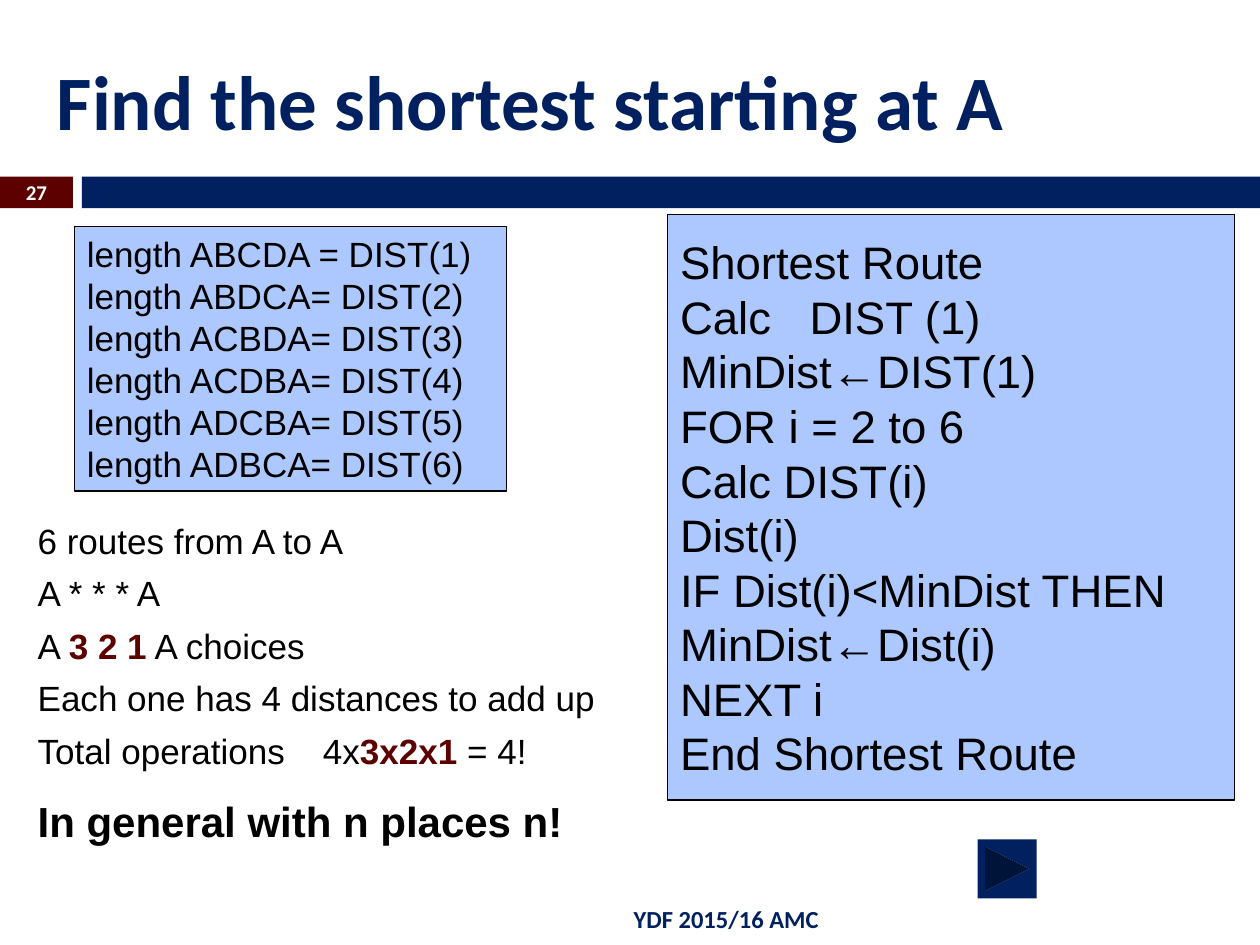
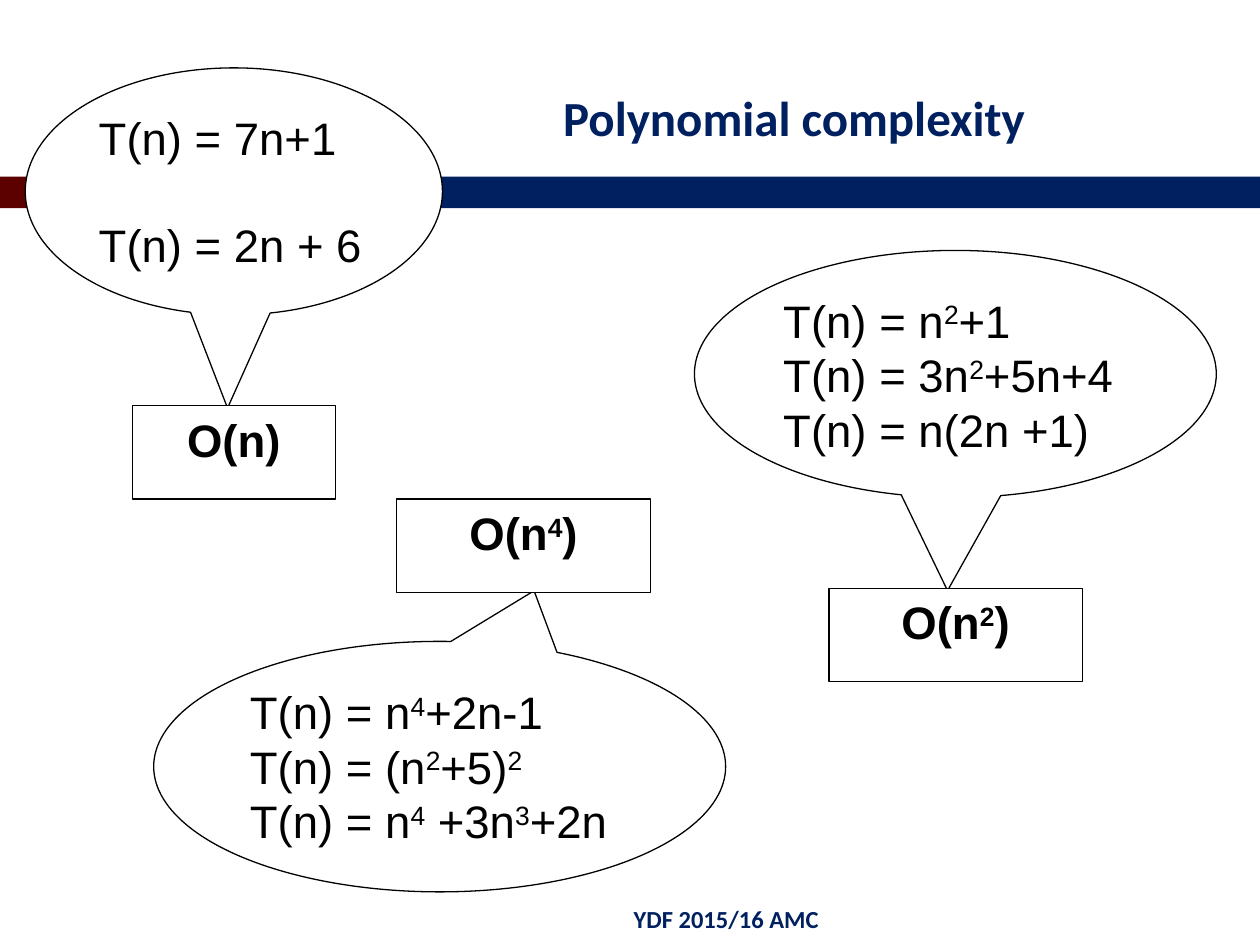
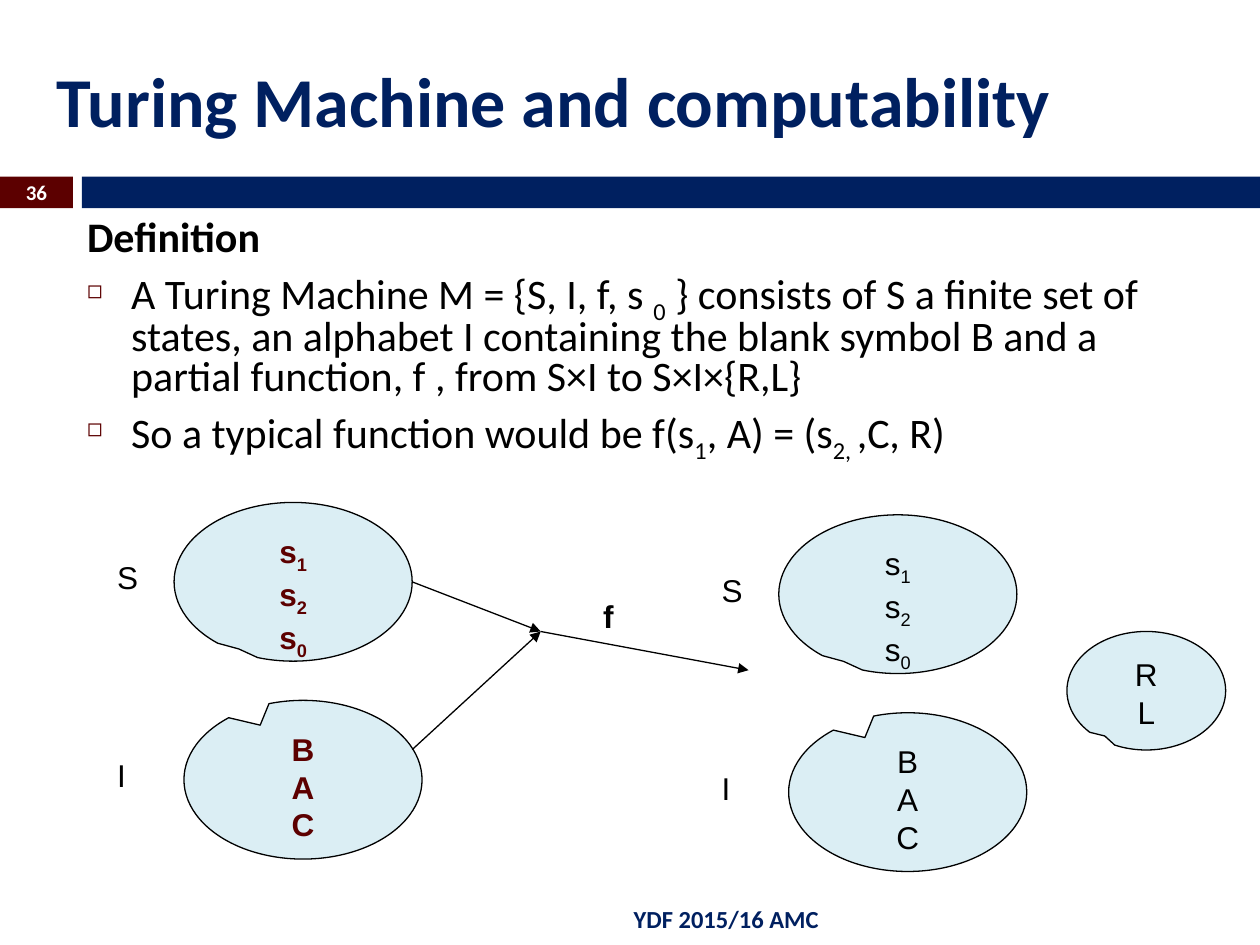
"""Build three lecture slides on routes, polynomial complexity and Turing machines."""
from dataclasses import dataclass

from lxml.etree import SubElement
from pptx import Presentation
from pptx.dml.color import RGBColor
from pptx.enum.shapes import MSO_CONNECTOR, MSO_SHAPE
from pptx.enum.text import MSO_ANCHOR as Anchor, MSO_AUTO_SIZE, PP_ALIGN as Align
from pptx.oxml.ns import qn
from pptx.oxml.xmlchemy import OxmlElement
from pptx.util import Cm, Pt


@dataclass(frozen=True)
class Theme:
    navy: str = "002060"
    maroon: str = "5C0000"
    panel: str = "ACC8FF"
    pale: str = "DBEEF4"
    white: str = "FFFFFF"
    black: str = "000000"
    heading_font: str = "Calibri"
    body_font: str = "Arial"
    footer: float = 14
    number: float = 12
    label: float = 18
    note: float = 20
    emphasis: float = 24
    code: float = 26
    outline: float = 0.75


theme = Theme()
BASELINES = {"^": "30000", "_": "-25000"}


def write(shape, lines, size, color=theme.black, bold=False, align=Align.LEFT,
          anchor=Anchor.TOP, font=theme.body_font, tab=None):
    """Fill a shape; parts split by | may start with ^ raised, _ lowered or * accented."""
    frame = shape.text_frame
    frame.word_wrap = True
    frame.auto_size = MSO_AUTO_SIZE.NONE
    frame.vertical_anchor = anchor
    for index, line in enumerate(lines):
        paragraph = frame.add_paragraph() if index else frame.paragraphs[0]
        paragraph.alignment = align
        paragraph.font.name = font
        paragraph.font.size = Pt(size)
        paragraph.font.bold = bold
        paragraph.font.color.rgb = RGBColor.from_string(color)
        if "\t" in line:
            stops = OxmlElement("a:tabLst")
            SubElement(stops, qn("a:tab"), pos=str(Cm(tab)), algn="l")
            paragraph._p.pPr[-1].addprevious(stops)
        for part in line.split("|"):
            run = paragraph.add_run()
            run.text = part[1:] if part[0] in "^_*" else part
            if part[0] in BASELINES:
                run._r.get_or_add_rPr().set("baseline", BASELINES[part[0]])
            elif part[0] == "*":
                run.font.bold = True
                run.font.color.rgb = RGBColor.from_string(theme.maroon)
    return frame.paragraphs


def add_panel(slide, kind, box, fill, outlined=True, adjustments=()):
    """Add a preset shape with a flat fill and an optional thin black outline."""
    shape = slide.shapes.add_shape(kind, *map(Cm, box))
    shape.shadow.inherit = False
    shape.fill.solid()
    shape.fill.fore_color.rgb = RGBColor.from_string(fill)
    if outlined:
        shape.line.color.rgb = RGBColor.from_string(theme.black)
        shape.line.width = Pt(theme.outline)
    else:
        shape.line.fill.background()
    for index, value in enumerate(adjustments):
        shape.adjustments[index] = value
    return shape


presentation = Presentation()
presentation.slide_width = Cm(25.4)
presentation.slide_height = Cm(19.05)

wide_title = (0.89, 0.64, 23.8, 2.74)
right_title = (11.1, 0.76, 13.03, 3.18)
slides = []
for layout, title, box, size, number in (
    (5, "Find the shortest starting at A", wide_title, 44, "27"),
    (5, "Polynomial complexity", right_title, 28, None),
    (1, "Turing Machine and computability", wide_title, 40, "36"),
):
    slide = presentation.slides.add_slide(presentation.slide_layouts[layout])
    heading = slide.shapes.title
    heading.left, heading.top, heading.width, heading.height = map(Cm, box)
    write(heading, [title], size, theme.navy, True, anchor=Anchor.MIDDLE,
          font=theme.heading_font)
    footer = slide.shapes.add_textbox(Cm(1.7), Cm(18.01), Cm(15.06), Cm(1.02))
    write(footer, ["YDF 2015/16 AMC"], theme.footer, theme.navy, True,
          Align.RIGHT, Anchor.MIDDLE, theme.heading_font)
    if number:
        badge = slide.shapes.add_textbox(Cm(0), Cm(3.53), Cm(1.47), Cm(0.69))
        write(badge, [number], theme.number, theme.white, True,
              Align.CENTER, Anchor.MIDDLE, theme.heading_font)
    slides.append(slide)
routes, complexity, turing = slides

master_tree = presentation.slide_master.element.cSld.spTree
for band_id, left, width, color in (
    (20, 0, 1.47, theme.maroon),
    (21, 1.65, 23.75, theme.navy),
):
    band = add_panel(routes, MSO_SHAPE.RECTANGLE, (left, 3.56, width, 0.64), color, False)
    band.element.nvSpPr.cNvPr.set("id", str(band_id))
    master_tree.append(band.element)

lengths = add_panel(routes, MSO_SHAPE.RECTANGLE, (1.5, 4.57, 8.71, 5.33), theme.panel)
write(lengths, [
    "length ABCDA = DIST(1)",
    "length ABDCA= DIST(2)",
    "length ACBDA= DIST(3)",
    "length ACDBA= DIST(4)",
    "length ADCBA= DIST(5)",
    "length ADBCA= DIST(6)",
], theme.note)

algorithm = add_panel(routes, MSO_SHAPE.RECTANGLE, (13.46, 4.32, 11.43, 11.81), theme.panel)
write(algorithm, [
    "Shortest Route",
    "Calc\tDIST (1)",
    "MinDist←DIST(1)",
    "FOR i = 2 to 6",
    "Calc DIST(i)",
    "Dist(i)",
    "IF Dist(i)<MinDist THEN",
    "MinDist←Dist(i)",
    "NEXT i",
    "End Shortest Route",
], theme.code, anchor=Anchor.MIDDLE, tab=2.61)

notes = routes.shapes.add_textbox(Cm(0.51), Cm(10.34), Cm(12.19), Cm(6.93))
paragraphs = write(notes, [
    "6 routes from A to A",
    "A * * * A",
    "A |*3 2 1| A choices",
    "Each one has 4 distances to add up",
    "Total operations\t4x|*3x2x1| = 4!",
    "In general with n places n!",
], theme.note, tab=5.75)
for paragraph in paragraphs:
    paragraph.space_before = Pt(6)
conclusion = paragraphs[-1]
conclusion.space_before = Pt(14)
conclusion.font.size = Pt(theme.emphasis)
conclusion.font.bold = True

add_panel(routes, MSO_SHAPE.ACTION_BUTTON_FORWARD_OR_NEXT,
          (19.71, 16.92, 1.19, 1.19), theme.navy, False)

down = (-0.015, 0.877)
for bubble_box, pointer, formulas, gap, order_box, order in (
    ((3.1, 12.93, 11.53, 5.05), (0.165, -0.702),
     ["T(n) = n|^4|+2n-1", "T(n) = (n|^2|+5)|^2", "T(n) = n|^4| +3n|^3|+2n"], 0,
     (8, 10.06, 5.11, 1.88), "O(n|^4|)"),
    ((0.51, 1.37, 8.41, 4.98), down,
     ["T(n) = 7n+1", "T(n) = 2n + 6"], 30,
     (2.67, 8.18, 4.09, 1.88), "O(n)"),
    ((14, 5.05, 10.52, 4.98), down,
     ["T(n) = n|^2|+1", "T(n) = 3n|^2|+5n+4", "T(n) = n(2n +1)"], 0,
     (16.71, 11.86, 5.11, 1.88), "O(n|^2|)"),
):
    bubble = add_panel(complexity, MSO_SHAPE.OVAL_CALLOUT, bubble_box, theme.white,
                       adjustments=pointer)
    for paragraph in write(bubble, formulas, theme.code)[1:]:
        paragraph.space_before = Pt(gap)
    order_panel = add_panel(complexity, MSO_SHAPE.RECTANGLE, order_box, theme.white)
    write(order_panel, [order], theme.code, bold=True, align=Align.CENTER)

body = turing.placeholders[1]
body.left, body.top, body.width, body.height = map(Cm, (1.5, 4.32, 22.86, 4.8))
paragraphs = write(body, [
    "Definition",
    "A Turing Machine M = {S, I, f, s |_0| } consists of S a finite set of states, "
    "an alphabet I containing the blank symbol B and a partial function, f , "
    "from S×I to S×I×{R,L}",
    "So a typical function would be f(s|_1|, A) = (s|_2, |,C, R)",
], theme.emphasis, font=theme.heading_font)
paragraphs[0].font.bold = True
for index, paragraph in enumerate(paragraphs):
    paragraph.line_spacing = 0.8
    paragraph.space_before = Pt(7)
    properties = paragraph._p.pPr
    properties.set("marL", str(Cm(0.89)))
    properties.set("indent", str(-Cm(0.89)))
    defaults = properties[-1]
    if index == 0:
        defaults.addprevious(OxmlElement("a:buNone"))
        continue
    bullet_color = OxmlElement("a:buClr")
    SubElement(bullet_color, qn("a:srgbClr"), val=theme.maroon)
    bullet_size = OxmlElement("a:buSzPct")
    bullet_size.set("val", "60000")
    bullet = OxmlElement("a:buChar")
    bullet.set("char", "◻")
    for element in (bullet_color, bullet_size, bullet):
        defaults.addprevious(element)

states = ["s|_1", "s|_2", "s|_0"]
symbols = ["B", "A", "C"]
labels = [("f", 11.91, 11.91, True)]
sets = [(["R", "L"], (21.51, 12.73, 3.2, 2.39), (-0.262, 0.382), theme.black, False)]
for right, down_shift, color, bold in (
    (0, 0, theme.maroon, True),
    (12.19, 0.25, theme.black, False),
):
    for name, members, left, top, pointer in (
        ("S", states, 3.51, 10.13, (-0.228, 0.423)),
        ("I", symbols, 3.71, 14.12, (-0.18, -0.344)),
    ):
        box = (left + right, top + down_shift, 4.8, 3.2)
        sets.append((members, box, pointer, color, bold))
        labels.append((name, 2.11 + right, top + down_shift + 1, False))

for members, box, pointer, color, bold in sets:
    bubble = add_panel(turing, MSO_SHAPE.OVAL_CALLOUT, box, theme.pale, adjustments=pointer)
    write(bubble, members, theme.label, color, bold, Align.CENTER)
for name, left, top, bold in labels:
    label = turing.shapes.add_textbox(Cm(left), Cm(top), Cm(1.19), Cm(1.02))
    write(label, [name], theme.label, bold=bold)

junction = (10.9, 12.73)
for start, end in (
    ((8.31, 11.73), junction),
    ((8.31, 15.11), junction),
    (junction, (15.09, 13.51)),
):
    arrow = turing.shapes.add_connector(MSO_CONNECTOR.STRAIGHT, *map(Cm, start + end))
    arrow.line.color.rgb = RGBColor.from_string(theme.black)
    arrow.line.width = Pt(theme.outline)
    SubElement(arrow.element.spPr.find(qn("a:ln")), qn("a:tailEnd"), type="triangle")
    SubElement(arrow.element.spPr, qn("a:effectLst"))

presentation.save("out.pptx")
